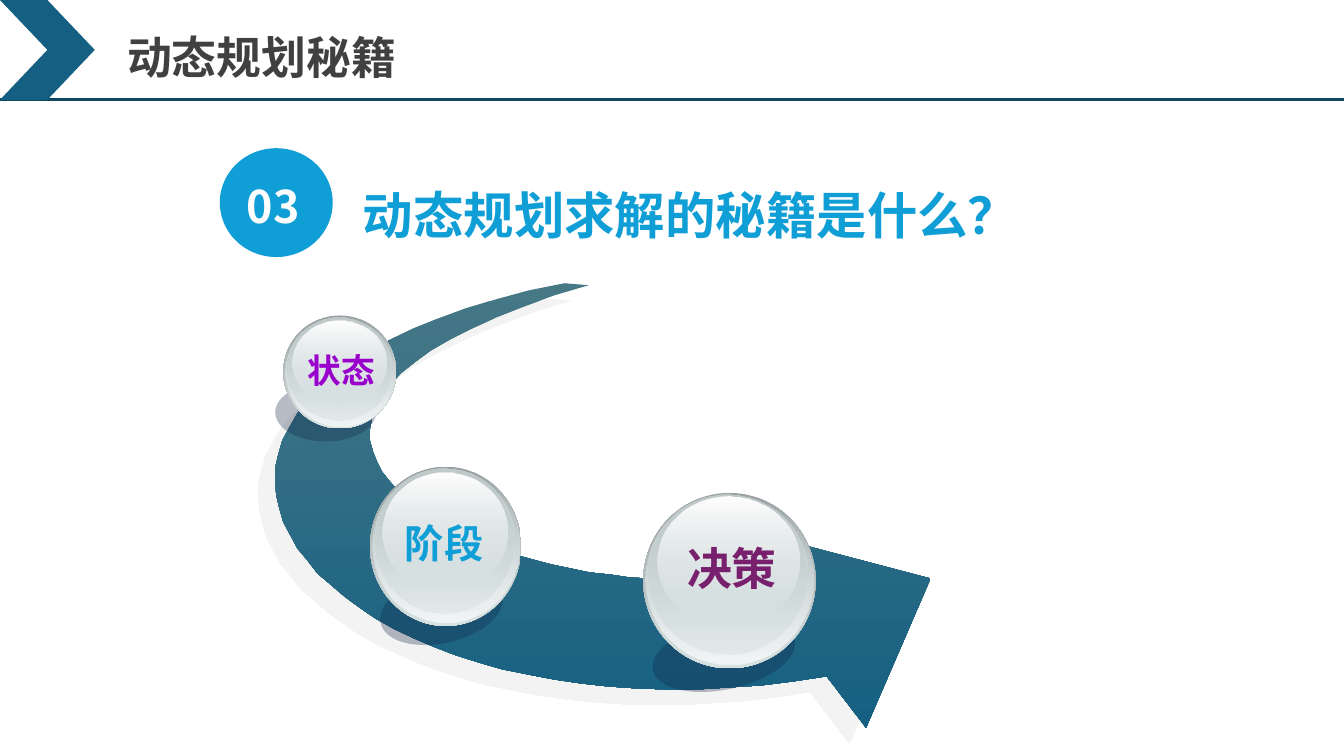
from lxml.etree import SubElement
from pptx import Presentation
from pptx.dml.color import RGBColor
from pptx.enum.shapes import MSO_CONNECTOR, MSO_SHAPE
from pptx.enum.text import MSO_ANCHOR, MSO_AUTO_SIZE, PP_ALIGN
from pptx.oxml.ns import qn
from pptx.util import Inches, Pt

FONT = "Noto Sans CJK SC"
TITLE = ("动态规划秘籍", 32, "404040")
NUMBER = ("03", 32, "FFFFFF")
QUESTION = ("动态规划求解的秘籍是什么？", 36, "0F9ED5")

GLASS_LAYERS = [
    [("99A1A2", 100), ("D6E1E2", 100)],
    [("D6E1E2", 0), ("F2F5F5", 100)],
    [("C1CBCC", 100), ("D6E1E2", 48)],
    [("FFFFFF", 100), ("D6E1E2", 38)],
]
SPHERES = [
    {
        "label": ("决策", 32, "78206E"), "label_box": (6.67, 5.32, 1.18, 0.64),
        "shade": (6.46, 6.16, 1.44, 0.68), "tilt": 347.9,
        "glass": [(6.38, 4.89, 1.71, 1.74), (6.4, 4.9, 1.67, 1.69),
                  (6.42, 4.91, 1.59, 1.58), (6.52, 4.93, 1.41, 1.28)],
    },
    {
        "label": ("阶段", 28, "0F9ED5"), "label_box": (3.91, 5.1, 0.99, 0.57),
        "shade": (3.76, 5.71, 1.24, 0.67), "tilt": 347.1,
        "glass": [(3.67, 4.63, 1.5, 1.58), (3.69, 4.64, 1.46, 1.54),
                  (3.71, 4.65, 1.39, 1.44), (3.79, 4.69, 1.24, 1.17)],
    },
    {
        "label": ("状态", 24, "9900CC"), "label_box": (2.95, 3.42, 0.87, 0.5),
        "shade": (2.73, 3.8, 1, 0.58), "tilt": 0,
        "glass": [(2.81, 3.13, 1.12, 1.12), (2.83, 3.14, 1.09, 1.09),
                  (2.84, 3.15, 1.04, 1.02), (2.9, 3.18, 0.93, 0.83)],
    },
]

OUTER_CURVE = [
    (5.6, 2.81), (5.25, 2.88), (4.92, 2.97), (4.62, 3.06), (4.35, 3.16),
    (4.1, 3.26), (3.87, 3.37), (3.67, 3.48), (3.48, 3.6), (3.32, 3.72),
    (3.17, 3.85), (3.05, 3.98), (2.95, 4.1), (2.87, 4.24), (2.8, 4.37),
    (2.76, 4.51), (2.73, 4.64), (2.73, 4.78), (2.74, 4.91), (2.77, 5.04),
    (2.81, 5.18), (2.88, 5.31), (2.95, 5.44), (3.05, 5.56), (3.15, 5.69),
    (3.28, 5.8), (3.42, 5.92), (3.57, 6.03), (3.73, 6.14), (3.91, 6.24),
    (4.1, 6.33), (4.31, 6.42), (4.52, 6.5), (4.74, 6.57), (4.98, 6.64),
    (5.23, 6.69), (5.49, 6.74), (5.76, 6.78), (6.03, 6.81), (6.32, 6.83),
    (6.62, 6.84), (6.92, 6.84), (7.23, 6.82), (7.55, 6.8), (7.87, 6.76),
    (8.2, 6.71),
]
ARROW_HEAD = [(8.59, 7.22), (9.23, 5.74), (7.03, 5.16)]
INNER_CURVE = [
    (7.42, 5.68), (7.24, 5.71), (7.04, 5.73), (6.85, 5.74), (6.65, 5.74),
    (6.45, 5.74), (6.25, 5.73), (6.05, 5.7), (5.85, 5.68), (5.66, 5.64),
    (5.47, 5.6), (5.28, 5.55), (5.1, 5.5), (4.92, 5.44), (4.76, 5.37),
    (4.6, 5.3), (4.44, 5.23), (4.31, 5.14), (4.18, 5.06), (4.06, 4.97),
    (3.96, 4.88), (3.87, 4.78), (3.79, 4.68), (3.74, 4.58), (3.7, 4.48),
    (3.67, 4.37), (3.67, 4.26), (3.69, 4.15), (3.73, 4.04), (3.79, 3.93),
    (3.87, 3.82), (3.98, 3.7), (4.12, 3.59), (4.27, 3.48), (4.46, 3.37),
    (4.68, 3.26), (4.92, 3.15), (5.2, 3.04), (5.5, 2.93), (5.84, 2.83),
]


def color(code):
    return RGBColor.from_string(code)


def inches(values):
    return [Inches(value) for value in values]


def paint(shape, stops):
    shape.shadow.inherit = False
    shape.line.fill.background()
    if len(stops) == 1:
        shape.fill.solid()
        shape.fill.fore_color.rgb = color(stops[0][0])
    else:
        shape.fill.gradient()
        shape.fill.gradient_angle = 270
        for target, (code, _) in zip(shape.fill.gradient_stops, stops):
            target.color.rgb = color(code)
    codes = list(shape._element.spPr.iter(qn("a:srgbClr")))
    for code, (_, opacity) in zip(codes, stops):
        if opacity < 100:
            SubElement(code, qn("a:alpha"), val=str(opacity * 1000))


def add_painted(shapes, preset, box, stops):
    shape = shapes.add_shape(preset, *inches(box))
    paint(shape, stops)
    return shape


def write(holder, content, align=PP_ALIGN.LEFT, wrap=True):
    words, size, code = content
    frame = holder.text_frame
    frame.text = words
    frame.word_wrap = wrap
    frame.auto_size = MSO_AUTO_SIZE.SHAPE_TO_FIT_TEXT
    frame.vertical_anchor = MSO_ANCHOR.TOP
    paragraph = frame.paragraphs[0]
    paragraph.alignment = align
    font = paragraph.runs[0].font
    font.name, font.size, font.bold = FONT, Pt(size), True
    font.color.rgb = color(code)
    properties = paragraph.runs[0]._r.get_or_add_rPr()
    SubElement(properties, qn("a:ea"), typeface=FONT)


def add_words(shapes, box, content, align=PP_ALIGN.LEFT, wrap=True):
    holder = shapes.add_textbox(*inches(box))
    write(holder, content, align, wrap)
    return holder


def add_header(slide):
    title = slide.shapes.title
    title.left, title.top, title.width, title.height = inches((1.16, 0.24, 4.33, 0.64))
    write(title, TITLE)
    rule = slide.shapes.add_connector(
        MSO_CONNECTOR.STRAIGHT, *inches((0, 0.99, 13.33, 0.99)))
    rule.line.color.rgb = color("104862")
    rule.line.width = Pt(2.25)
    SubElement(rule._element.spPr, qn("a:effectLst"))
    add_painted(slide.shapes, MSO_SHAPE.CHEVRON, (0, 0, 0.94, 0.99), [("156082", 100)])


def add_question(slide):
    badge = slide.shapes.add_group_shape().shapes
    add_painted(badge, MSO_SHAPE.OVAL, (2.18, 1.47, 1.12, 1.08), [("0F9ED5", 100)])
    add_words(badge, (2.35, 1.72, 0.76, 0.64), NUMBER, wrap=False)
    question = add_words(slide.shapes, (3.6, 1.53, 6.53, 0.77), QUESTION)
    frame = question.text_frame
    frame.margin_left = frame.margin_right = frame.margin_top = frame.margin_bottom = 0
    frame.paragraphs[0].line_spacing = 1.5


def add_arrow(slide):
    start, *rest = [inches(point) for point in OUTER_CURVE + ARROW_HEAD + INNER_CURVE]
    outline = slide.shapes.build_freeform(*start)
    outline.add_line_segments(rest, close=True)
    arrow = outline.convert_to_shape()
    paint(arrow, [("467886", 100), ("156082", 100)])
    effects = arrow._element.spPr.find(qn("a:effectLst"))
    shadow = SubElement(effects, qn("a:outerShdw"), blurRad="0", dist=str(Pt(16.3)),
                        dir=str(137 * 60000), algn="ctr", rotWithShape="0")
    tint = SubElement(shadow, qn("a:srgbClr"), val="E8E8E8")
    SubElement(tint, qn("a:alpha"), val="50000")


def add_sphere(slide, sphere):
    group = slide.shapes.add_group_shape().shapes
    shade = add_painted(group, MSO_SHAPE.OVAL, sphere["shade"], [("0F2145", 30)])
    shade.rotation = sphere["tilt"]
    for box, stops in zip(sphere["glass"], GLASS_LAYERS):
        add_painted(group, MSO_SHAPE.OVAL, box, stops)
    add_words(group, sphere["label_box"], sphere["label"], PP_ALIGN.CENTER, wrap=False)


def main():
    deck = Presentation()
    deck.slide_width, deck.slide_height = inches((13.33, 7.5))
    slide = deck.slides.add_slide(deck.slide_layouts[5])
    add_header(slide)
    add_question(slide)
    add_arrow(slide)
    for sphere in SPHERES:
        add_sphere(slide, sphere)
    deck.save("out.pptx")


if __name__ == "__main__":
    main()
